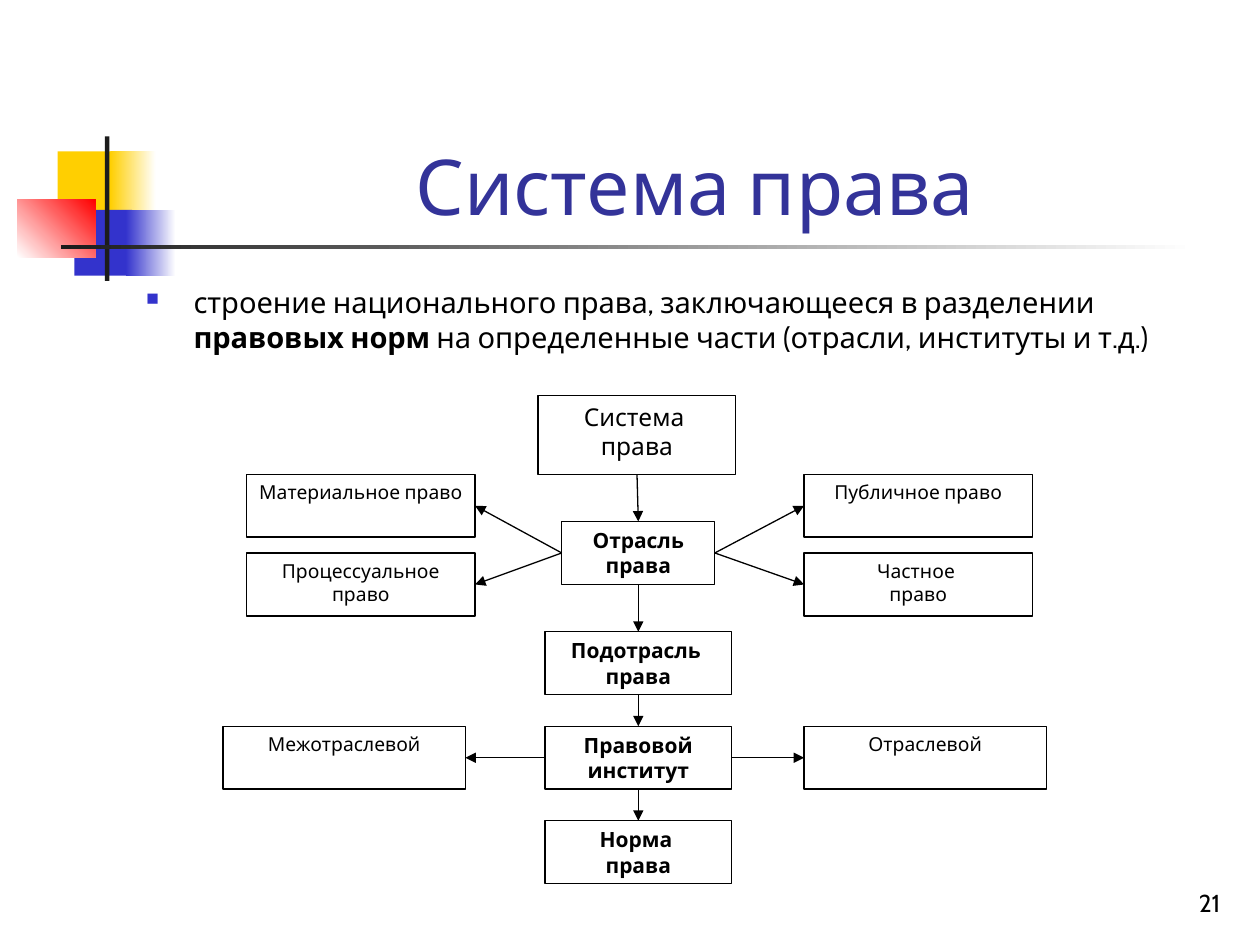
from lxml import etree
from pptx import Presentation
from pptx.dml.color import RGBColor
from pptx.enum.shapes import MSO_CONNECTOR, MSO_SHAPE
from pptx.enum.text import MSO_ANCHOR as Anchor, MSO_AUTO_SIZE, PP_ALIGN as Align
from pptx.oxml.ns import qn
from pptx.util import Pt

FONT = "Cabin"
BLACK, WHITE, BLUE, YELLOW, RED = "000000", "FFFFFF", "3333CC", "FFCF01", "FF0000"
DARK, TITLE_BLUE = "1C1C1C", "333399"
TOP, LEFT, BOTTOM, RIGHT = range(4)  # connection sites of a rectangle


def rgb(value):
    return RGBColor.from_string(value)


def place(sp, x, y, w, h):
    sp.left, sp.top, sp.width, sp.height = Pt(x), Pt(y), Pt(w), Pt(h)


def write(sp, *paragraphs, size, color=BLACK, bold=False, align=Align.CENTER,
          anchor=Anchor.TOP, insets=(7.2, 3.6, 7.2, 3.6)):
    """Fill a shape; a paragraph is a string or a list of (text, bold) runs."""
    tf = sp.text_frame
    tf.word_wrap, tf.auto_size, tf.vertical_anchor = True, MSO_AUTO_SIZE.NONE, anchor
    tf.margin_left, tf.margin_top, tf.margin_right, tf.margin_bottom = map(Pt, insets)
    for i, runs in enumerate(paragraphs):
        p = tf.add_paragraph() if i else tf.paragraphs[0]
        p.alignment = align
        for text, strong in [(runs, bold)] if isinstance(runs, str) else runs:
            r = p.add_run()
            r.text = text
            r.font.name, r.font.size, r.font.bold = FONT, Pt(size), strong
            r.font.color.rgb = rgb(color)
    return tf


def add_rect(slide, x, y, w, h, fill, fade_to=None, angle=0, line=None):
    sp = slide.shapes.add_shape(MSO_SHAPE.RECTANGLE, Pt(x), Pt(y), Pt(w), Pt(h))
    sp.shadow.inherit = False
    if fade_to:
        sp.fill.gradient()
        sp.fill.gradient_angle = angle
        for stop, color in zip(sp.fill.gradient_stops, (fill, fade_to)):
            stop.color.rgb = rgb(color)
    else:
        sp.fill.solid()
        sp.fill.fore_color.rgb = rgb(fill)
    if line:
        sp.line.color.rgb = rgb(line)
        sp.line.width = Pt(0.75)
    else:
        sp.line.fill.background()
    return sp


def add_arrow(slide, start, start_site, end, end_site):
    cx = slide.shapes.add_connector(MSO_CONNECTOR.STRAIGHT, 0, 0, 0, 0)
    cx.begin_connect(start, start_site)
    cx.end_connect(end, end_site)
    cx.line.color.rgb = rgb(BLACK)
    cx.line.width = Pt(0.75)
    etree.SubElement(cx.line._get_or_add_ln(), qn("a:tailEnd"), type="triangle")
    etree.SubElement(cx._element.spPr, qn("a:effectLst"))


def add_ornament(slide, x, y):
    """Coloured squares crossed by a vertical and a fading horizontal bar."""
    add_rect(slide, x + 23, y + 8.5, 34.5, 37.5, YELLOW)
    add_rect(slide, x + 53, y + 8.5, 26, 37.5, YELLOW, fade_to=WHITE)
    add_rect(slide, x + 32.5, y + 42, 33, 37.5, BLUE)
    add_rect(slide, x + 62, y + 42, 28.5, 37.5, BLUE, fade_to=WHITE)
    add_rect(slide, x, y + 36, 44.5, 33, WHITE, fade_to=RED, angle=45)
    add_rect(slide, x + 50, y, 2.5, 82.5, DARK)
    add_rect(slide, x + 25, y + 62, 648, 2.5, DARK, fade_to=WHITE)


def add_title(slide, x, y, w, h):
    place(slide.shapes.title, x, y, w, h)
    write(slide.shapes.title, "Система права", size=44, color=TITLE_BLUE,
          anchor=Anchor.BOTTOM, insets=(0, 0, 0, 0))


def add_definition(slide, x, y, w, h):
    sp = slide.shapes.add_textbox(Pt(x), Pt(y), Pt(w), Pt(h))
    tf = write(sp, [("строение национального права, заключающееся в разделении ", False),
                    ("правовых норм ", True),
                    ("на определенные части (отрасли, институты и т.д.)", False)],
               size=16.6, align=Align.LEFT)
    pPr = tf.paragraphs[0]._p.get_or_add_pPr()
    pPr.set("marL", str(Pt(27)))
    pPr.set("indent", str(-Pt(27)))
    color = etree.SubElement(pPr, qn("a:buClr"))
    etree.SubElement(color, qn("a:srgbClr"), val=BLUE)
    etree.SubElement(pPr, qn("a:buSzPct"), val="60000")
    etree.SubElement(pPr, qn("a:buChar"), char="■")


def add_diagram(slide, x, y):
    """Law hierarchy: a central chain with side branches."""
    def box(left, top, w, *lines, h=36, size=11, bold=False):
        sp = add_rect(slide, x + left, y + top, w, h, WHITE, line=BLACK)
        write(sp, *lines, size=size, bold=bold)
        return sp

    def chain_box(top, *lines, left=184, w=106.5):
        return box(left, top, w, *lines, size=12, bold=True)

    left_x, right_x, side_w, wide_w = 13.5, 332, 130.5, 138.5
    system = box(180, 0, 113, "Система ", "права", h=45, size=14)
    branch = chain_box(72, "Отрасль права", left=193.5, w=87.5)
    sub_branch = chain_box(135, "Подотрасль ", "права")
    institute = chain_box(189, "Правовой институт")
    norm = chain_box(243, "Норма ", "права")
    chain = [system, branch, sub_branch, institute, norm]
    for upper, lower in zip(chain, chain[1:]):
        add_arrow(slide, upper, BOTTOM, lower, TOP)

    left_sides = [
        (branch, box(left_x, 45, side_w, "Материальное право")),
        (branch, box(left_x, 90, side_w, "Процессуальное право")),
        (institute, box(0, 189, wide_w, "Межотраслевой")),
    ]
    right_sides = [
        (branch, box(right_x, 45, side_w, "Публичное право")),
        (branch, box(right_x, 90, side_w, "Частное ", "право")),
        (institute, box(right_x, 189, wide_w, "Отраслевой")),
    ]
    for parent, side in left_sides:
        add_arrow(slide, parent, LEFT, side, RIGHT)
    for parent, side in right_sides:
        add_arrow(slide, parent, RIGHT, side, LEFT)


def add_page_number(slide, x, y, w, h):
    sp = slide.shapes.add_textbox(Pt(x), Pt(y), Pt(w), Pt(h))
    write(sp, "21", size=14, align=Align.RIGHT, anchor=Anchor.BOTTOM)


def main():
    prs = Presentation()
    prs.slide_width, prs.slide_height = Pt(720), Pt(540)
    slide = prs.slides.add_slide(prs.slide_layouts[5])
    add_ornament(slide, 10, 78)
    add_title(slide, 90.5, 16.5, 613.5, 115.5)
    add_definition(slide, 76.5, 159, 628.5, 61)
    add_diagram(slide, 127.5, 226)
    add_page_number(slide, 554.5, 492, 150, 36)
    prs.save("out.pptx")


if __name__ == "__main__":
    main()
